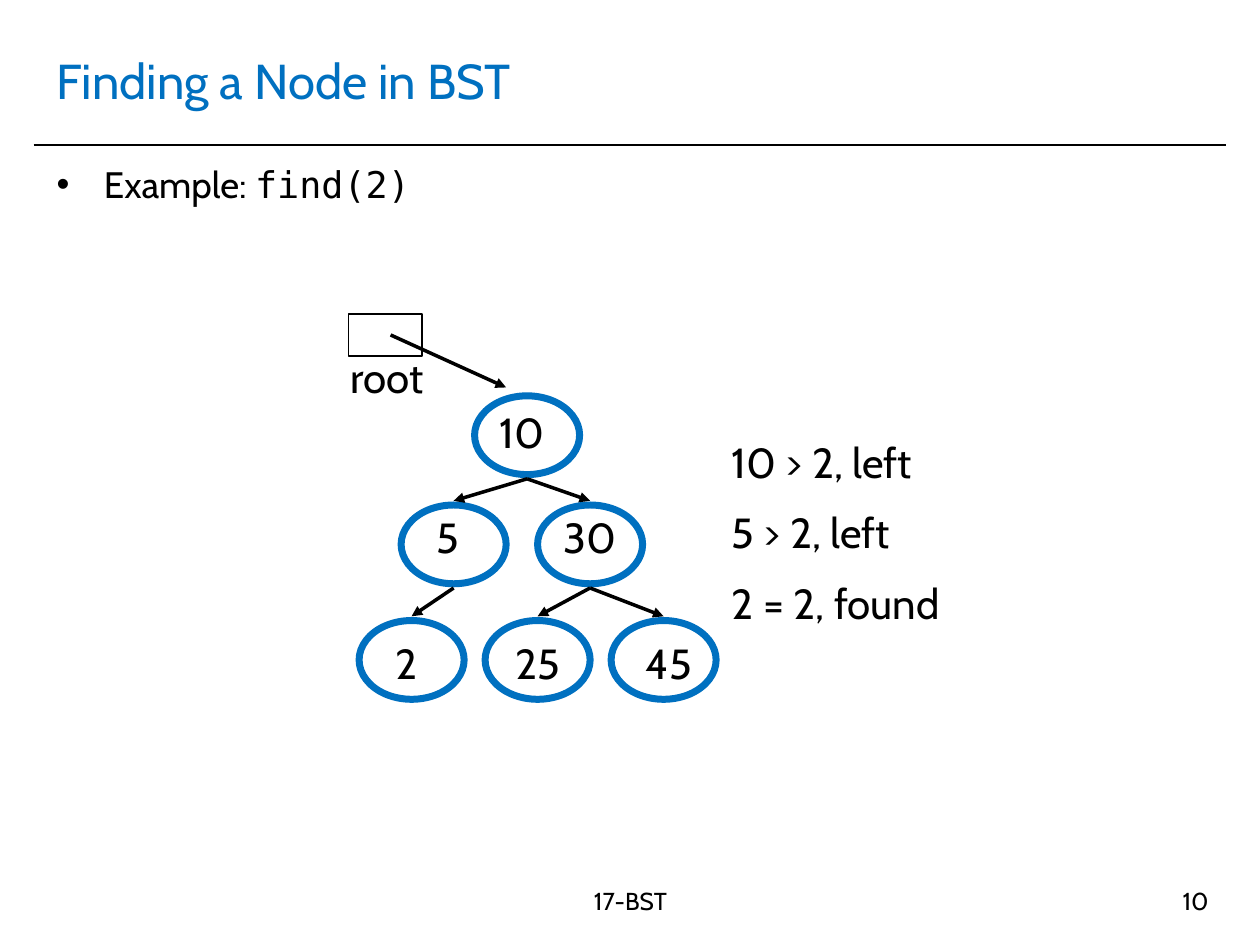
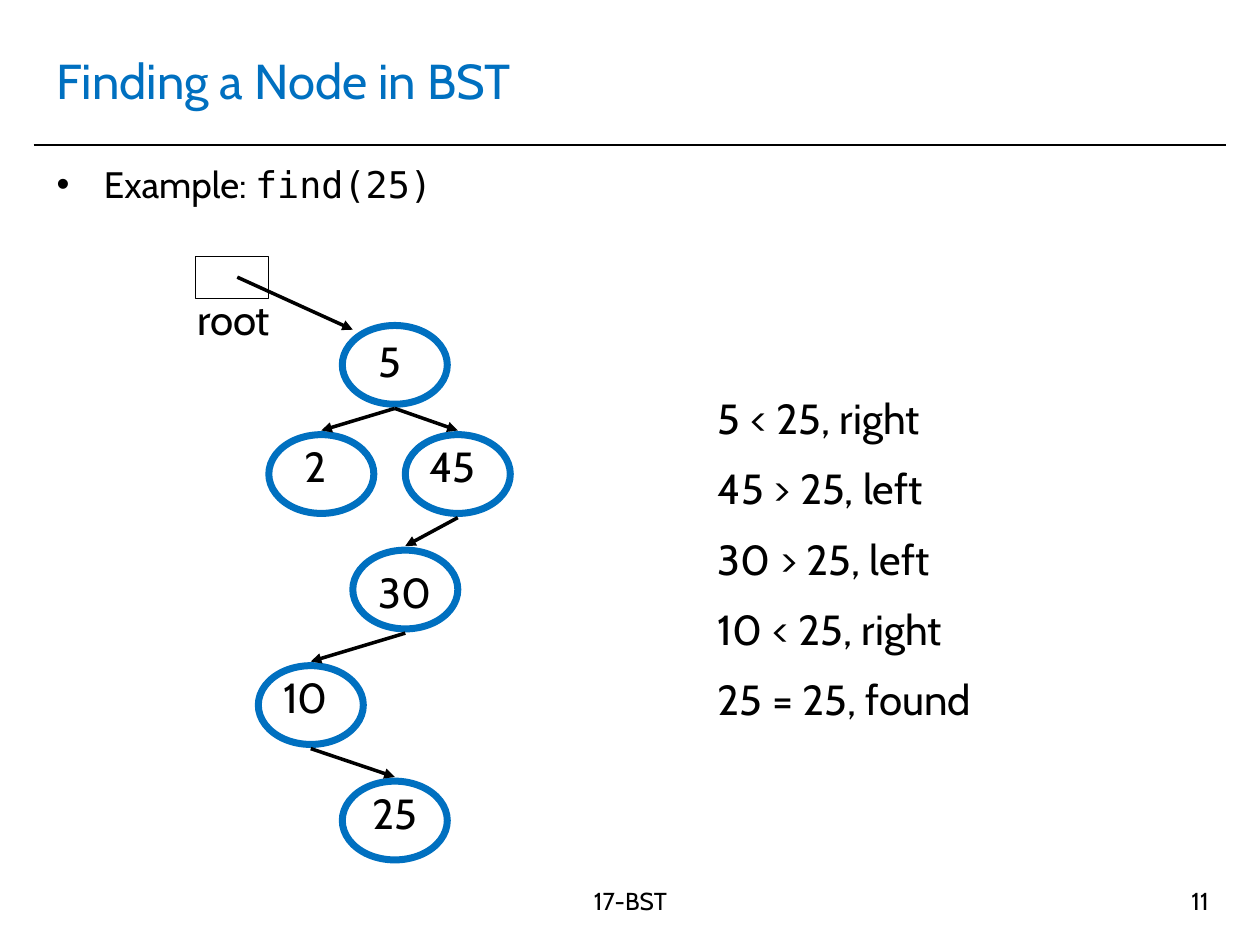
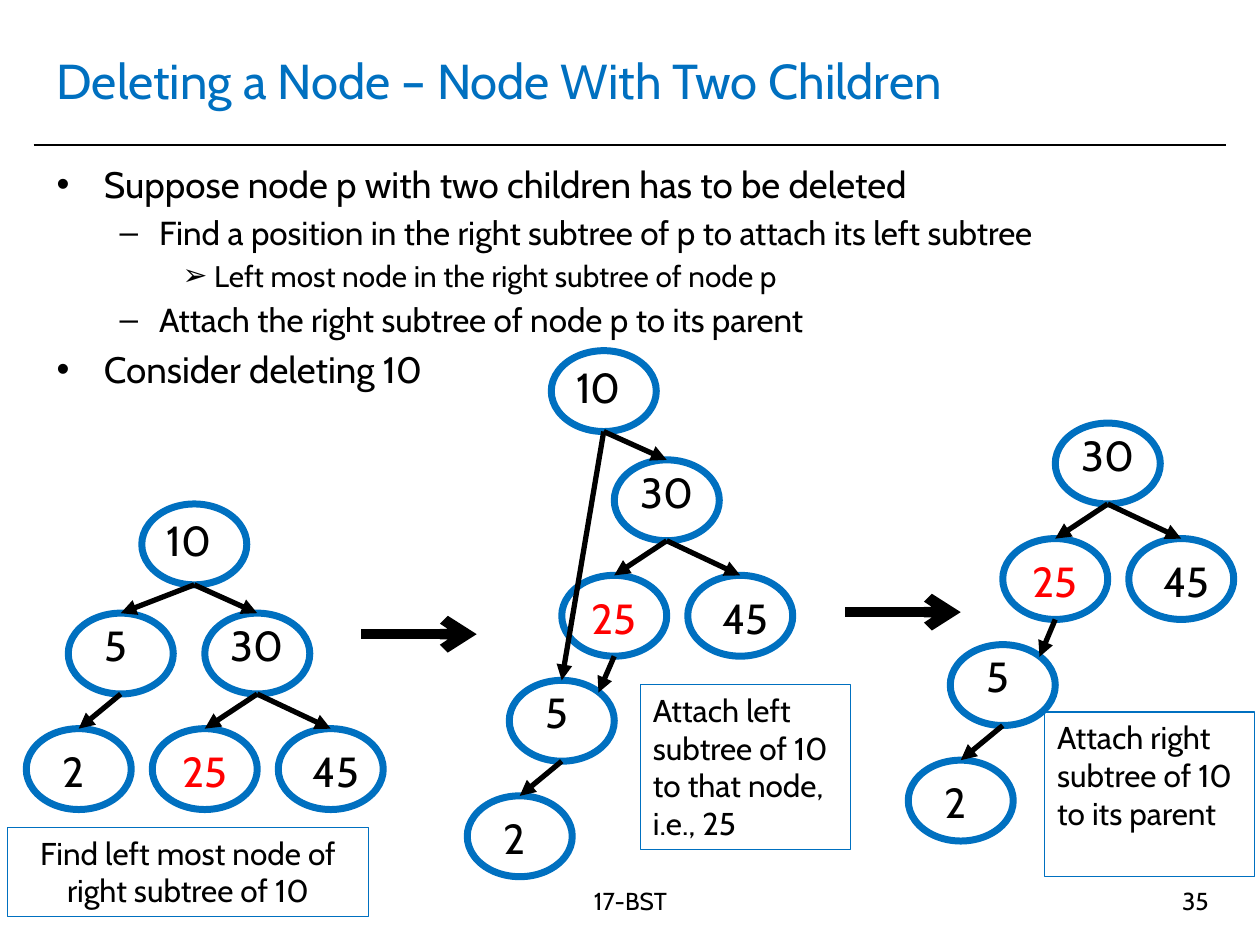
from dataclasses import dataclass

from lxml import etree
from pptx import Presentation
from pptx import util as u
from pptx.dml.color import RGBColor
from pptx.enum import shapes, text
from pptx.oxml.ns import qn

COLORS = {"accent": "0070C0", "ink": "000000", "highlight": "FF0000"}
FONT, MONO = "Cabin", "DejaVu Sans Mono"
PER_INCH = 12
SLIDE = (120, 90)
TITLE_BOX = (4.2, 2.5, 111.5, 10.2)
BODY_BOX = (4.2, 14.8, 111.5, 67)
FOOTER_BOX = (40.2, 83.8, 39.7, 6.2)
NUMBER_BOX = (88.3, 83.8, 28, 6.2)
RULE = ((3.2, 13.8), (116.8, 13.8))
NODE_WIDTH = 10
LABEL_WIDTHS = {"2": 5, "5": 5, "10": 7, "45": 7, "25": 8, "30": 8}
LEVELS = [
    {"bullet": "•", "margin": 4.5, "hang": 4.5, "size": 21, "space": 4},
    {"bullet": "–", "margin": 9.75, "hang": 3.75, "size": 19, "space": 3.6},
    {"bullet": "➢", "margin": 15, "hang": 3, "size": 17, "space": 3.2},
]


@dataclass
class Node:
    column: float
    row: float
    inset: float = 1
    drop: float = 0


@dataclass
class Style:
    node_height: float
    gap: float
    weight: float


SEARCH = Style(node_height=7.5, gap=0.4, weight=2)
DELETION = Style(node_height=7.7, gap=0, weight=3)

BALANCED = {
    "10": Node(11, 0, drop=0.4),
    "5": Node(4, 10.4, inset=2),
    "30": Node(17, 10.4),
    "2": Node(0, 21.4, inset=2, drop=1),
    "25": Node(12, 21.4, drop=1),
    "45": Node(24, 21.4, inset=2, drop=1),
}
BALANCED_EDGES = [("10", "5"), ("10", "30"), ("5", "2"), ("30", "25"), ("30", "45")]
ZIGZAG = {
    "5": Node(8, 0, inset=2, drop=0.4),
    "2": Node(1, 10.4, inset=2),
    "45": Node(14, 10.4),
    "30": Node(9, 21.4, drop=1),
    "10": Node(0, 32.4),
    "25": Node(8, 43.4),
}
ZIGZAG_EDGES = [("5", "2"), ("5", "45"), ("45", "30"), ("30", "10"), ("10", "25")]
ATTACHED = {
    "10": Node(8, 0, drop=0.4),
    "30": Node(14, 10.4),
    "25": Node(9, 21.4, drop=1),
    "45": Node(21, 21.4, inset=2, drop=1),
    "5": Node(4, 31.4, inset=2),
    "2": Node(0, 42.4, inset=2, drop=1),
}
DELETED = {
    "30": Node(14, 0),
    "25": Node(9, 11, drop=1),
    "45": Node(21, 11, inset=2, drop=1),
    "5": Node(4, 21.1, inset=2),
    "2": Node(0, 32.1, inset=2, drop=1),
}
DELETED_EDGES = [("30", "25"), ("30", "45"), ("5", "2")]
ATTACHED_EDGES = [("10", "30"), ("10", "5")] + DELETED_EDGES
SHOULDER_EDGES = [("25", "5")]


def grid(*units):
    return [u.Inches(unit / PER_INCH) for unit in units]


def rgb(name):
    return RGBColor.from_string(COLORS[name])


def set_font(para, size, color="ink"):
    para.font.name = FONT
    para.font.size = u.Pt(size)
    para.font.color.rgb = rgb(color)


def set_line(shape, color, weight):
    shape.line.color.rgb = rgb(color)
    shape.line.width = u.Pt(weight)


def add_text(page, box, lines, size, color="ink", align=text.PP_ALIGN.LEFT, space=0, wrap=True):
    area = page.shapes.add_textbox(*grid(*box))
    frame = area.text_frame
    frame.word_wrap = wrap
    frame.text = "\n".join(lines)
    for para in frame.paragraphs:
        para.alignment = align
        para.space_before = u.Pt(space)
        set_font(para, size, color)
    return area


def add_outline(page, kind, box, color, weight):
    outline = page.shapes.add_shape(kind, *grid(*box))
    outline.shadow.inherit = False
    outline.fill.background()
    set_line(outline, color, weight)


def add_line(page, start, end, weight, head=None):
    line = page.shapes.add_connector(shapes.MSO_CONNECTOR.STRAIGHT, *grid(*start, *end))
    set_line(line, "ink", weight)
    if head:
        etree.SubElement(line.line._get_or_add_ln(), qn("a:tailEnd"), type=head)
    etree.SubElement(line._element.spPr, qn("a:effectLst"))


def place(holder, box):
    holder.left, holder.top, holder.width, holder.height = grid(*box)
    holder.text_frame.auto_size = text.MSO_AUTO_SIZE.NONE


def add_title(page, title):
    holder = page.shapes.title
    place(holder, TITLE_BOX)
    holder.text_frame.vertical_anchor = text.MSO_ANCHOR.MIDDLE
    holder.text_frame.text = title
    para = holder.text_frame.paragraphs[0]
    para.alignment = text.PP_ALIGN.LEFT
    set_font(para, 28, "accent")


def add_bullets(page, bullets):
    holder = page.placeholders[1]
    place(holder, BODY_BOX)
    frame = holder.text_frame
    frame.text = "\n".join(line for _, line in bullets)
    for para, (depth, _) in zip(frame.paragraphs, bullets):
        level = LEVELS[depth]
        para.level = depth
        para.space_before = u.Pt(level["space"])
        props = para._p.get_or_add_pPr()
        margin, hang = grid(level["margin"], -level["hang"])
        props.set("marL", str(margin))
        props.set("indent", str(hang))
        etree.SubElement(props, qn("a:buChar"), char=level["bullet"])
        set_font(para, level["size"])
    return frame


def add_page(deck, title, bullets, number):
    page = deck.slides.add_slide(deck.slide_layouts[1])
    add_line(page, *RULE, 1)
    add_title(page, title)
    body = add_bullets(page, bullets)
    add_text(page, FOOTER_BOX, ["17-BST"], 14, align=text.PP_ALIGN.CENTER)
    add_text(page, NUMBER_BOX, [str(number)], 14, align=text.PP_ALIGN.RIGHT)
    return page, body


def add_tree(page, origin, nodes, edges, style, shoulders=(), highlight=None):
    left, top = origin

    def point(value, across, down):
        node = nodes[value]
        return left + node.column + across, top + node.row + down

    middle = NODE_WIDTH / 2
    for value, node in nodes.items():
        add_outline(page, shapes.MSO_SHAPE.OVAL,
                    (*point(value, 0, 0), NODE_WIDTH, style.node_height), "accent", 4)
        add_text(page, (*point(value, node.inset, node.drop), LABEL_WIDTHS[value], 6), [value], 24,
                 "highlight" if value == highlight else "ink", text.PP_ALIGN.CENTER)
    for parent, child in [*edges, *shoulders]:
        if (parent, child) in shoulders:
            target = (NODE_WIDTH * 0.85, style.node_height * 0.15)
        else:
            target = (middle, -style.gap)
        add_line(page, point(parent, middle, style.node_height + style.gap),
                 point(child, *target), style.weight, "triangle")


def add_root(page, origin):
    left, top = origin
    add_text(page, (left - 1, top + 3, 9.6, 6), ["root"], 24, wrap=False)
    add_line(page, (left + 4, top + 2), (left + 15, top + 7), 2, "triangle")
    add_outline(page, shapes.MSO_SHAPE.RECTANGLE, (left, top, 7, 4), "ink", 0.75)


def add_note(page, box, words, align=text.PP_ALIGN.LEFT):
    note = add_text(page, box, [words], 18, align=align)
    set_line(note, "accent", 0.75)


def add_step_arrow(page, left, top):
    add_line(page, (left, top), (left + 11, top), 6, "arrow")


def add_search_page(deck, number, call, tree, tree_at, root_at, steps, steps_box):
    page, body = add_page(deck, "Finding a Node in BST", [(0, "Example: ")], number)
    span = body.paragraphs[0].add_run()
    span.text = call
    span.font.name = MONO
    add_tree(page, tree_at, *tree, SEARCH)
    add_root(page, root_at)
    add_text(page, steps_box, steps, 24, space=11.4)


def add_deletion_page(deck, number):
    page, _ = add_page(deck, "Deleting a Node – Node With Two Children", [
        (0, "Suppose node p with two children has to be deleted"),
        (1, "Find a position in the right subtree of p to attach its left subtree"),
        (2, "Left most node in the right subtree of node p"),
        (1, "Attach the right subtree of node p to its parent"),
        (0, "Consider deleting 10"),
    ], number)
    add_tree(page, (2.5, 48), BALANCED, BALANCED_EDGES, DELETION, highlight="25")
    add_tree(page, (44.5, 33.4), ATTACHED, ATTACHED_EDGES, DELETION, SHOULDER_EDGES, "25")
    add_tree(page, (86.5, 40.3), DELETED, DELETED_EDGES, DELETION, SHOULDER_EDGES, "25")
    add_step_arrow(page, 34.4, 60.4)
    add_step_arrow(page, 80.5, 58.3)
    add_note(page, (0.7, 78.8, 34.4, 8.5), "Find left most node of right subtree of 10",
             text.PP_ALIGN.CENTER)
    add_note(page, (61, 65.2, 20, 15.7), "Attach left subtree of 10 to that node, i.e., 25")
    add_note(page, (99.5, 67.8, 20, 15.7), "Attach right subtree of 10 to its parent")


def main():
    deck = Presentation()
    deck.slide_width, deck.slide_height = grid(*SLIDE)
    add_search_page(deck, 10, "find(2)", (BALANCED, BALANCED_EDGES), (34.2, 37.7), (33.2, 29.9),
                    ["10 > 2, left", "5 > 2, left", "2 = 2, found"], (68.5, 41, 30, 20.6))
    add_search_page(deck, 11, "find(25)", (ZIGZAG, ZIGZAG_EDGES), (24.6, 31), (18.6, 24.4),
                    ["5 < 25, right", "45 > 25, left", "30 > 25, left", "10 < 25, right",
                     "25 = 25, found"], (67.2, 36.8, 30, 35.2))
    add_deletion_page(deck, 35)
    deck.save("out.pptx")


if __name__ == "__main__":
    main()
